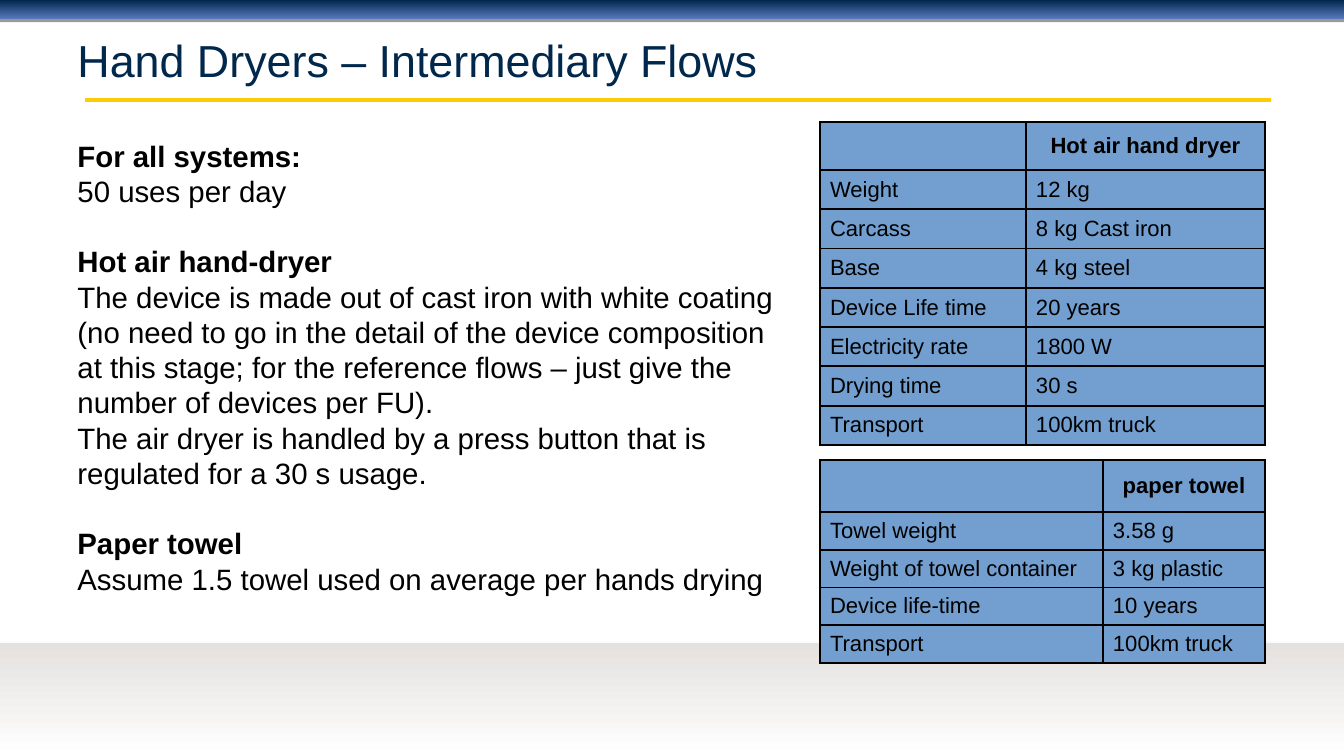
from pptx import Presentation
from pptx.dml.color import RGBColor
from pptx.enum.shapes import MSO_CONNECTOR, MSO_SHAPE
from pptx.enum.text import MSO_ANCHOR, PP_ALIGN
from pptx.oxml import parse_xml
from pptx.oxml.ns import nsdecls, qn
from pptx.util import Emu, Pt
from lxml.etree import SubElement

PX = 12096  # EMU in one px
WIDTH, HEIGHT = 1344, 756
FONT = "Arial"
NAVY, BLUE, YELLOW, GREY = "00274C", "587ABC", "FFCB05", "E4E1DF"
BLACK, WHITE, CELL_BLUE = "000000", "FFFFFF", "729FCF"

TITLE = "Hand Dryers – Intermediary Flows"

# Each section: heading, then its paragraphs
SECTIONS = [
    ("For all systems:", ["50 uses per day"]),
    ("Hot air hand-dryer", [
        "The device is made out of cast iron with white coating (no need to go in "
        "the detail of the device composition at this stage; for the reference "
        "flows – just give the number of devices per FU).",
        "The air dryer is handled by a press button that is regulated for a 30 s usage.",
    ]),
    ("Paper towel", ["Assume 1.5 towel used on average per hands drying"]),
]

TABLES = [
    {"top": 122, "height": 323, "header": 48, "columns": (206, 239), "rows": [
        ("", "Hot air hand dryer"),
        ("Weight", "12 kg"),
        ("Carcass", "8 kg Cast iron"),
        ("Base", "4 kg steel"),
        ("Device Life time", "20 years"),
        ("Electricity rate", "1800 W"),
        ("Drying time", "30 s"),
        ("Transport", "100km truck"),
    ]},
    {"top": 460, "height": 203, "header": 52, "columns": (283, 162), "rows": [
        ("", "paper towel"),
        ("Towel weight", "3.58 g"),
        ("Weight of towel container", "3 kg plastic"),
        ("Device life-time", "10 years"),
        ("Transport", "100km truck"),
    ]},
]
TABLE_LEFT = 820
LINE_PITCH = Pt(33.6)


def px(value):
    return Emu(round(value * PX))


def color(hex_text):
    return RGBColor.from_string(hex_text)


def add_run(paragraph, text, size, ink, bold=False):
    run = paragraph.add_run()
    run.text = text
    run.font.name, run.font.size, run.font.bold = FONT, Pt(size), bold
    run.font.color.rgb = color(ink)


def add_band(slide, top, height, start, end, angle):
    band = slide.shapes.add_shape(MSO_SHAPE.RECTANGLE, 0, px(top), px(WIDTH), px(height))
    band.shadow.inherit = False
    band.line.fill.background()
    band.fill.gradient()
    band.fill.gradient_angle = angle
    for stop, ink in zip(band.fill.gradient_stops, (start, end)):
        stop.color.rgb = color(ink)
    return band


def add_rule(slide, left, right, y, ink, weight):
    rule = slide.shapes.add_connector(MSO_CONNECTOR.STRAIGHT, px(left), px(y), px(right), px(y))
    rule.line.color.rgb = color(ink)
    rule.line.width = Pt(weight)
    SubElement(rule._element.spPr, qn("a:effectLst"))
    return rule


def add_text_box(slide, left, top, width, height, anchor):
    box = slide.shapes.add_textbox(px(left), px(top), px(width), px(height))
    box.text_frame.word_wrap = True
    box.text_frame.vertical_anchor = anchor
    return box.text_frame


def style_cell(cell, text, is_header):
    properties = cell._tc.get_or_add_tcPr()
    for side in ("lnL", "lnR", "lnT", "lnB"):
        properties.append(parse_xml(
            f'<a:{side} {nsdecls("a")} w="{Pt(1.98)}"><a:solidFill>'
            f'<a:srgbClr val="{BLACK}"/></a:solidFill></a:{side}>'))
    cell.fill.solid()
    cell.fill.fore_color.rgb = color(CELL_BLUE)
    cell.vertical_anchor = MSO_ANCHOR.MIDDLE
    cell.margin_left = cell.margin_right = px(10)
    cell.margin_top = cell.margin_bottom = px(4)
    if text:
        paragraph = cell.text_frame.paragraphs[0]
        paragraph.alignment = PP_ALIGN.CENTER if is_header else PP_ALIGN.JUSTIFY
        indent = px(29)
        paragraph_properties = paragraph._p.get_or_add_pPr()
        paragraph_properties.set("marL", str(indent))
        paragraph_properties.set("indent", str(-indent))
        add_run(paragraph, text, 21, BLACK, is_header)


def add_data_table(slide, data):
    rows, columns = data["rows"], data["columns"]
    table = slide.shapes.add_table(len(rows), len(columns), px(TABLE_LEFT), px(data["top"]),
                                   px(sum(columns)), px(data["height"])).table
    for column, width in zip(table.columns, columns):
        column.width = px(width)
    body_height = (data["height"] - data["header"]) / (len(rows) - 1)
    for index, texts in enumerate(rows):
        table.rows[index].height = px(body_height if index else data["header"])
        for cell, text in zip(table.rows[index].cells, texts):
            style_cell(cell, text, index == 0)


def main():
    presentation = Presentation()
    presentation.slide_width, presentation.slide_height = px(WIDTH), px(HEIGHT)
    slide = presentation.slides.add_slide(presentation.slide_layouts[6])

    # Top band with its shadow, title rule, footer band and its edge
    top_band = add_band(slide, 0, 19, BLUE, NAVY, 90)
    top_band._element.spPr.find(qn("a:effectLst")).append(parse_xml(
        f'<a:outerShdw {nsdecls("a")} blurRad="0" dist="{Pt(3)}" dir="5400000" '
        f'rotWithShape="0"><a:srgbClr val="{BLACK}"><a:alpha val="40000"/>'
        '</a:srgbClr></a:outerShdw>'))
    add_rule(slide, 85, 1271, 100, YELLOW, 3)
    add_band(slide, 643, HEIGHT - 643, GREY, WHITE, 270)
    edge = add_rule(slide, 0, WIDTH, 642, GREY, 0.75)
    edge_color = edge._element.spPr.find(".//" + qn("a:srgbClr"))
    SubElement(edge_color, qn("a:alpha")).set("val", "30000")

    # Title
    title = add_text_box(slide, 70, 11, 1343, 98, MSO_ANCHOR.MIDDLE)
    add_run(title.paragraphs[0], TITLE, 42.7, NAVY)

    # Tables
    for data in TABLES:
        add_data_table(slide, data)

    # Body text, with one line of space above each later section
    body = add_text_box(slide, 70, 134, 727, 466, MSO_ANCHOR.TOP)
    for number, (heading, texts) in enumerate(SECTIONS):
        paragraph = body.add_paragraph() if number else body.paragraphs[0]
        if number:
            paragraph.space_before = LINE_PITCH
        add_run(paragraph, heading, 28, BLACK, True)
        for text in texts:
            add_run(body.add_paragraph(), text, 28, BLACK)
    for paragraph in body.paragraphs:
        paragraph.line_spacing = LINE_PITCH

    presentation.save("out.pptx")


if __name__ == "__main__":
    main()
